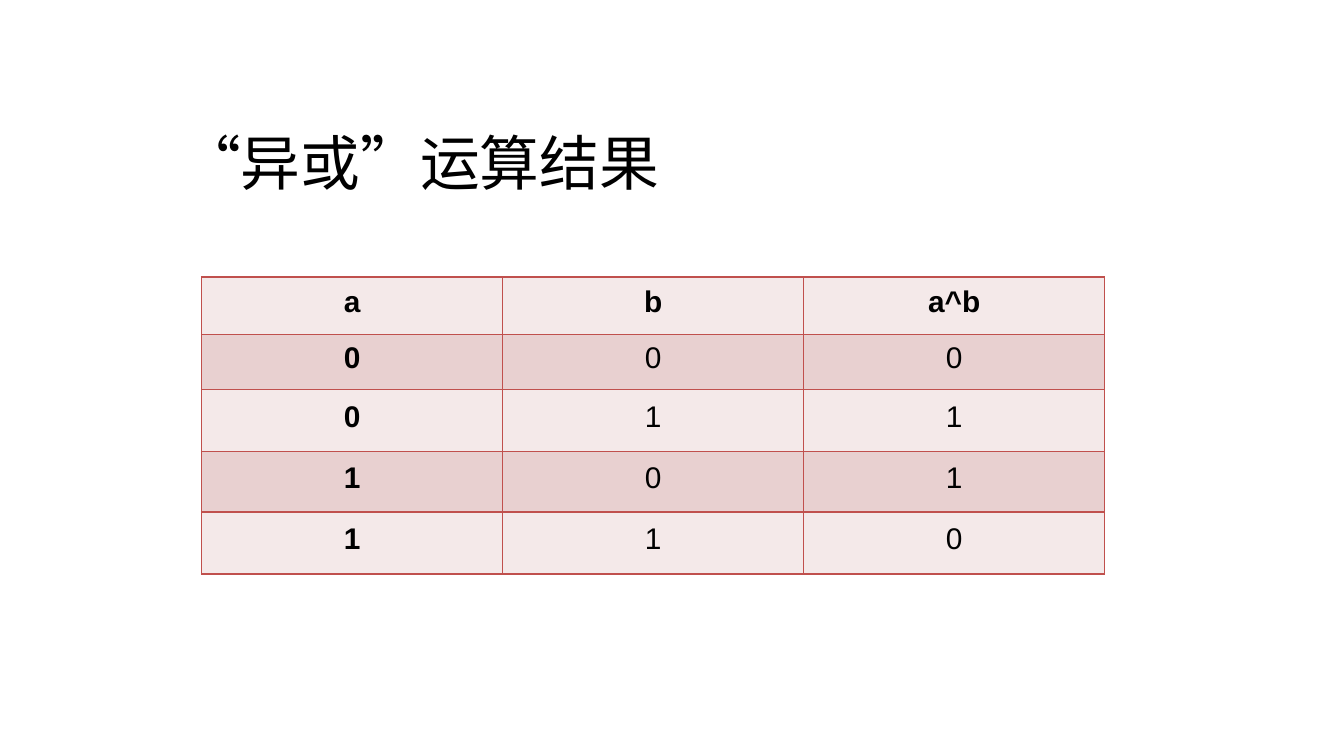
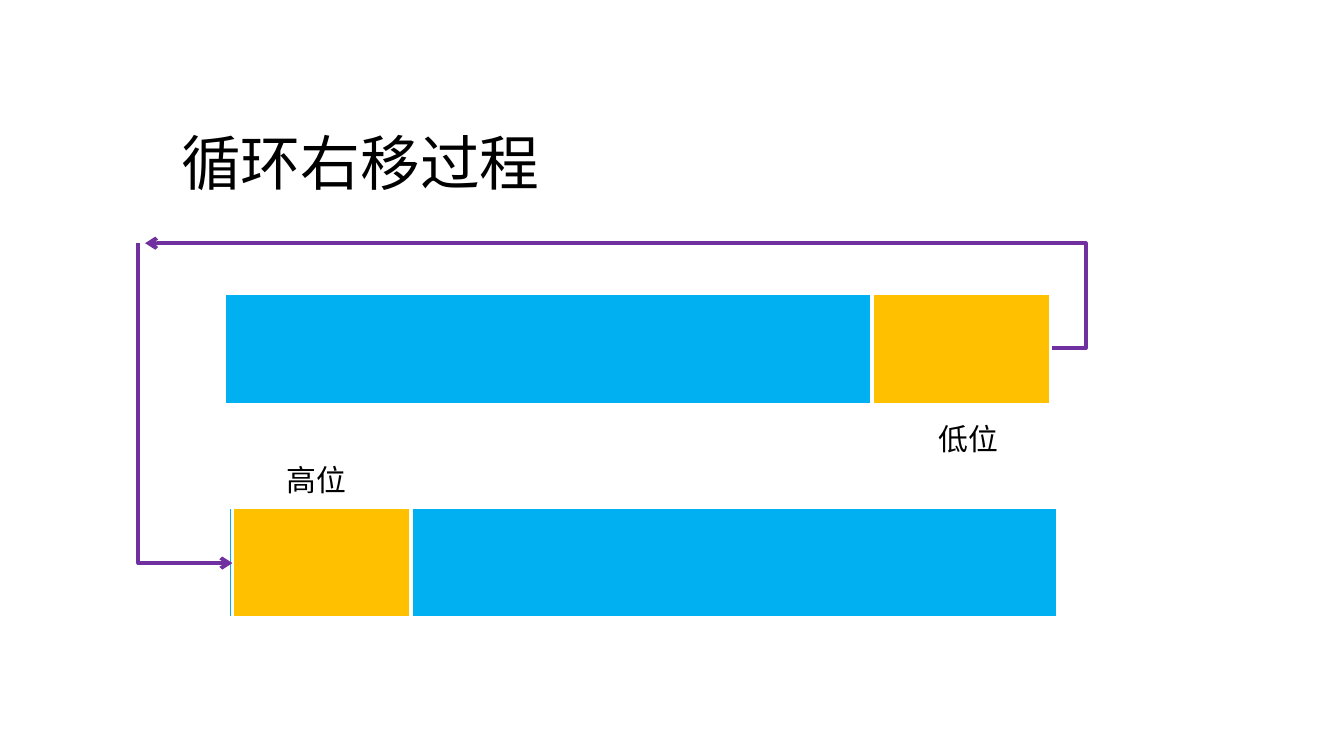
"""Build two slides on bit operations: an XOR table and a rotate-right diagram."""
import lxml.etree
import pptx
import pptx.dml.color
import pptx.enum.lang
import pptx.enum.shapes
import pptx.enum.text
import pptx.oxml.ns
import pptx.util

Inches = pptx.util.Inches
Pt = pptx.util.Pt
qn = pptx.oxml.ns.qn
SLIDE_WIDTH = Inches(10)
SLIDE_HEIGHT = SLIDE_WIDTH * 9 // 16
COLORS = {
    "text": "000000",
    "white": "FFFFFF",
    "border": "C0504D",
    "row_light": "F4E9E9",
    "row_dark": "E8D0D0",
    "bits": "00B0F0",
    "moved": "FFC000",
    "arrow": "7030A0",
}
XOR_ROWS = [("a", "b", "a^b"), "000", "011", "101", "110"]
ROW_HEIGHTS = [0.43, 0.41, 0.46, 0.45, 0.46]
BAR_WIDTH, MOVED_WIDTH, BAR_HEIGHT = 6.17, 1.33, 0.83


def color(name):
    """Return the named colour."""
    return pptx.dml.color.RGBColor.from_string(COLORS[name])


def write(text_frame, text, size, font="Calibri", bold=False, centered=False):
    """Put one formatted paragraph into a text frame and return it."""
    text_frame.text = text
    paragraph = text_frame.paragraphs[0]
    if centered:
        paragraph.alignment = pptx.enum.text.PP_ALIGN.CENTER
    for run in paragraph.runs:
        run.font.size = Pt(size)
        run.font.name = font
        run.font.bold = bold
        run.font.color.rgb = color("text")
        run.font.language_id = pptx.enum.lang.MSO_LANGUAGE_ID.SIMPLIFIED_CHINESE
    return paragraph


def add_titled_slide(presentation, title):
    """Add a blank slide with the shared title style."""
    slide = presentation.slides.add_slide(presentation.slide_layouts[6])
    box = slide.shapes.add_textbox(Inches(1.25), Inches(0.89), Inches(6.08), Inches(0.67))
    box.text_frame.word_wrap = True
    write(box.text_frame, title, 32)
    return slide


def add_borders(cell):
    """Draw a thin border on all four sides of a cell."""
    properties = cell._tc.get_or_add_tcPr()
    for index, side in enumerate(("lnL", "lnR", "lnT", "lnB")):
        line = lxml.etree.Element(qn("a:" + side), w=str(Pt(1)))
        fill = lxml.etree.SubElement(line, qn("a:solidFill"))
        lxml.etree.SubElement(fill, qn("a:srgbClr"), val=COLORS["border"])
        properties.insert(index, line)


def add_truth_table(slide, rows):
    """Add the banded truth table with bold header row and first column."""
    frame = slide.shapes.add_table(
        len(rows), 3, Inches(1.5), Inches(2.06), Inches(6.72), Inches(sum(ROW_HEIGHTS)))
    table = frame.table
    table.first_row = table.horz_banding = False
    for row_index, values in enumerate(rows):
        table.rows[row_index].height = Inches(ROW_HEIGHTS[row_index])
        for column_index, value in enumerate(values):
            cell = table.cell(row_index, column_index)
            cell.margin_left = cell.margin_right = Inches(0.07)
            cell.margin_top = cell.margin_bottom = 0
            cell.vertical_anchor = pptx.enum.text.MSO_ANCHOR.MIDDLE
            cell.fill.solid()
            cell.fill.fore_color.rgb = color("row_dark" if row_index % 2 else "row_light")
            bold = row_index == 0 or column_index == 0
            paragraph = write(cell.text_frame, value, 16, "Arial", bold, True)
            paragraph.line_spacing = Pt(14)
            add_borders(cell)


def add_box(shapes, left, top, width, height, fill):
    """Add a filled rectangle with a white outline."""
    shape = shapes.add_shape(
        pptx.enum.shapes.MSO_SHAPE.RECTANGLE,
        Inches(left), Inches(top), Inches(width), Inches(height))
    shape.shadow.inherit = False
    shape.fill.solid()
    shape.fill.fore_color.rgb = color(fill)
    shape.line.color.rgb = color("white")
    shape.line.width = Pt(2)
    return shape


def add_bar(slide, left, top, moved_left):
    """Add a grouped bit bar with its moved part highlighted."""
    group = slide.shapes.add_group_shape()
    add_box(group.shapes, left, top, BAR_WIDTH, BAR_HEIGHT, "bits")
    add_box(group.shapes, moved_left, top, MOVED_WIDTH, BAR_HEIGHT, "moved")


def add_label(slide, left, top, text):
    """Add a small centred label."""
    label = add_box(slide.shapes, left, top, 0.75, 0.17, "white")
    label.text_frame.vertical_anchor = pptx.enum.text.MSO_ANCHOR.MIDDLE
    write(label.text_frame, text, 16, centered=True)


def add_elbow_arrow(slide, start, end):
    """Add an elbow connector with an open arrowhead at its end."""
    points = [Inches(value) for value in (*start, *end)]
    connector = slide.shapes.add_connector(pptx.enum.shapes.MSO_CONNECTOR.ELBOW, *points)
    connector.line.color.rgb = color("arrow")
    connector.line.width = Pt(2)
    lxml.etree.SubElement(connector.line._get_or_add_ln(), qn("a:tailEnd"), type="arrow")
    lxml.etree.SubElement(connector._element.spPr, qn("a:effectLst"))
    return connector


def add_outer_arrow(slide, start, end, overhang):
    """Add a leftward arrow that first runs right by the overhang."""
    connector = add_elbow_arrow(slide, start, end)
    bend = -overhang / (start[0] - end[0])
    adjustments = connector._element.spPr.find(qn("a:prstGeom")).find(qn("a:avLst"))
    lxml.etree.SubElement(
        adjustments, qn("a:gd"), name="adj1", fmla=f"val {round(bend * 100000)}")


def add_corner_arrow(slide, start, end):
    """Add an arrow that goes down and then right, as a turned two-part elbow."""
    middle_x, middle_y = (start[0] + end[0]) / 2, (start[1] + end[1]) / 2
    half_width, half_height = (end[1] - start[1]) / 2, (end[0] - start[0]) / 2
    connector = add_elbow_arrow(
        slide,
        (middle_x + half_width, middle_y - half_height),
        (middle_x - half_width, middle_y + half_height))
    properties = connector._element.spPr
    properties.find(qn("a:prstGeom")).set("prst", "bentConnector2")
    properties.find(qn("a:xfrm")).set("rot", str(270 * 60000))


def main():
    """Build and save the presentation."""
    presentation = pptx.Presentation()
    presentation.slide_width = SLIDE_WIDTH
    presentation.slide_height = SLIDE_HEIGHT

    xor_slide = add_titled_slide(presentation, "“异或”运算结果")
    add_truth_table(xor_slide, XOR_ROWS)

    rotate_slide = add_titled_slide(presentation, "循环右移过程")
    add_bar(rotate_slide, 1.67, 2.18, 6.49)
    add_label(rotate_slide, 1.98, 3.48, "高位")
    add_label(rotate_slide, 6.83, 3.18, "低位")
    add_bar(rotate_slide, 1.7, 3.77, 1.73)
    add_outer_arrow(rotate_slide, (7.83, 2.59), (1.08, 1.81), 0.25)
    add_corner_arrow(rotate_slide, (1.03, 1.81), (1.73, 4.19))

    presentation.save("out.pptx")


if __name__ == "__main__":
    main()
